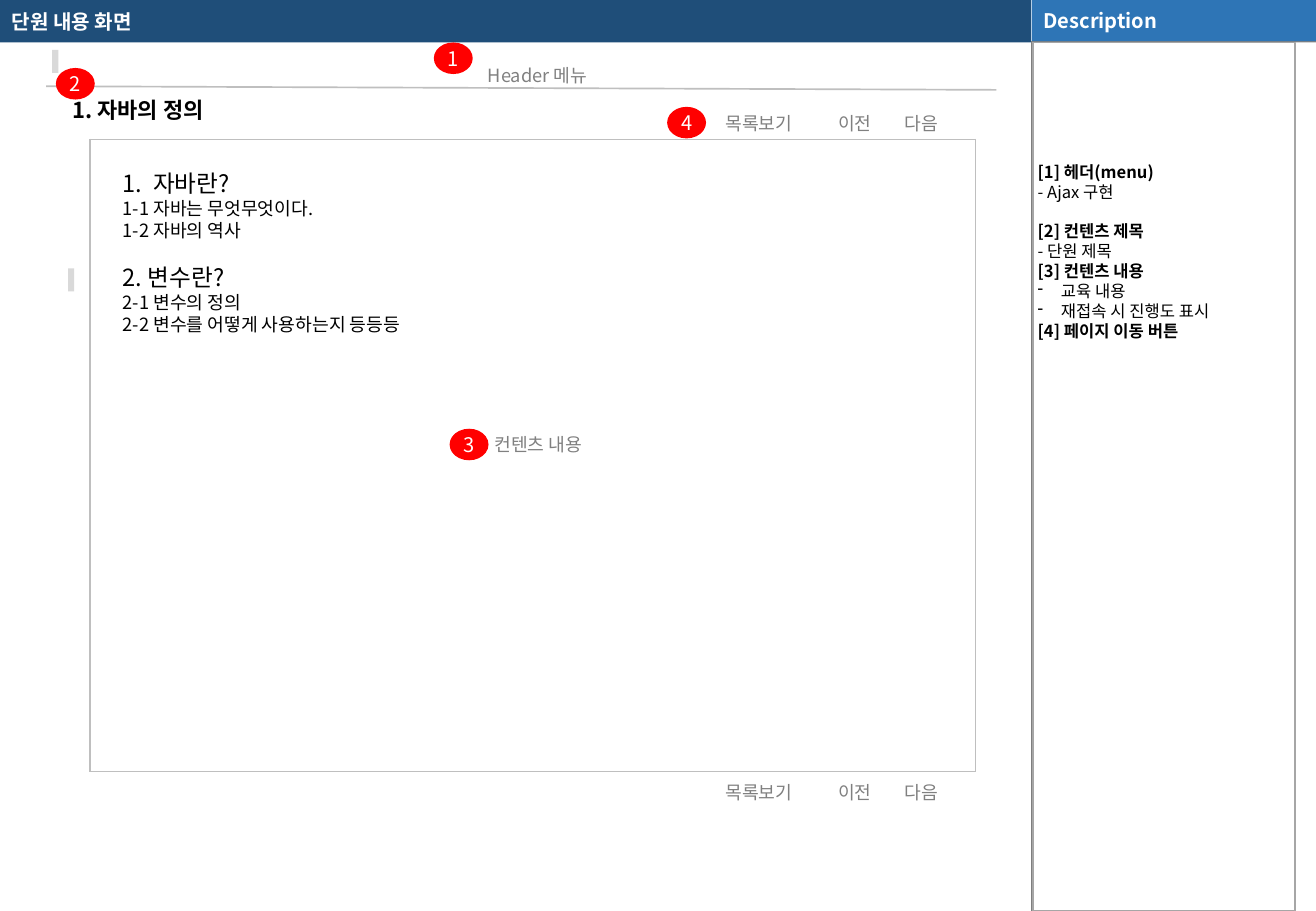
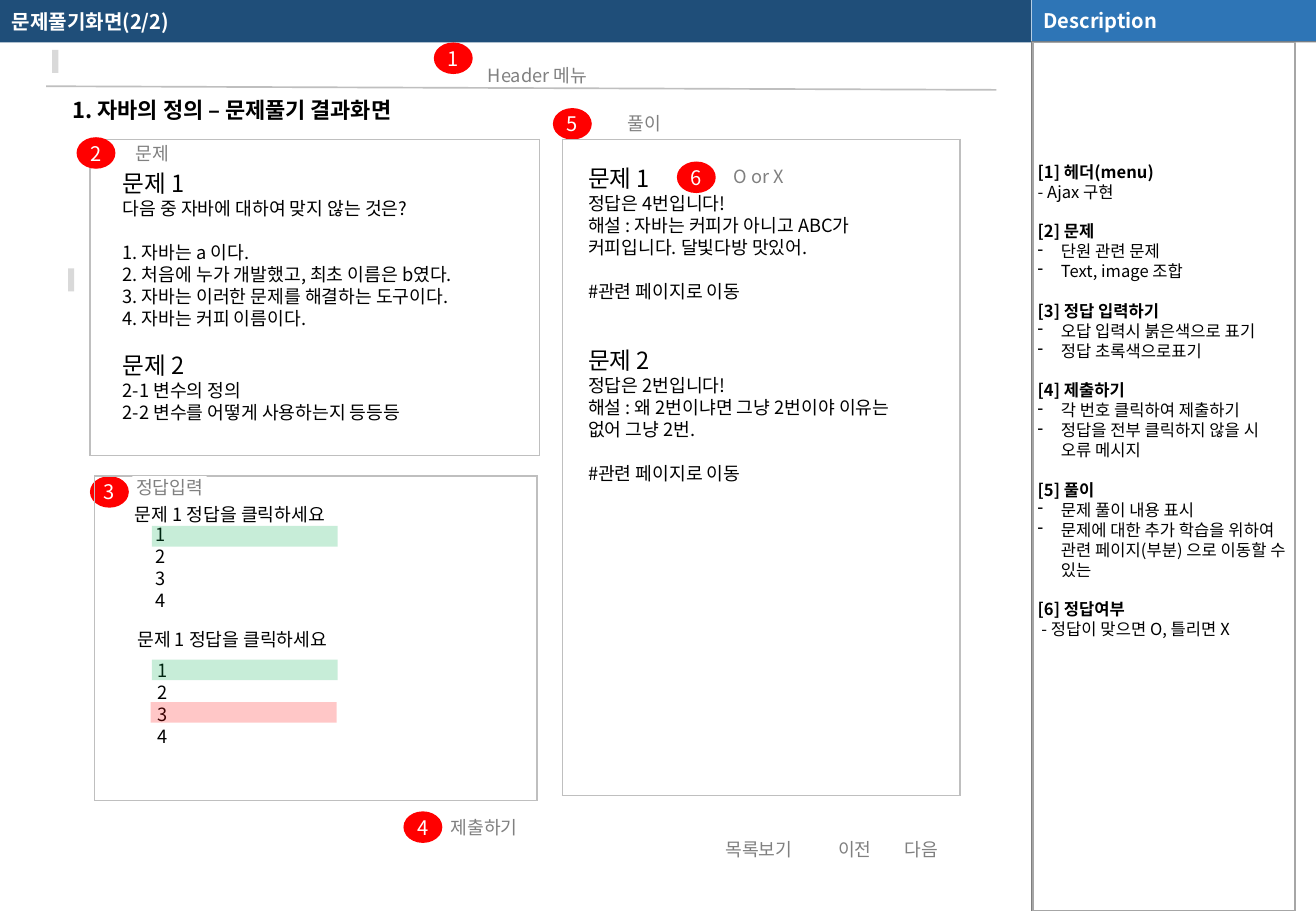
from lxml.etree import SubElement
from pptx import Presentation
from pptx.dml.color import RGBColor
from pptx.enum.shapes import MSO_CONNECTOR, MSO_SHAPE
from pptx.enum.text import MSO_ANCHOR, PP_ALIGN
from pptx.oxml.ns import qn
from pptx.util import Inches, Pt

FONT = "Noto Sans CJK KR"
LINE_HEIGHT = 1.2
NAVY = RGBColor(0x1F, 0x4E, 0x79)
BLUE = RGBColor(0x2E, 0x75, 0xB6)
GRAY = RGBColor(0x80, 0x80, 0x80)
DIVIDER = RGBColor(0x7F, 0x7F, 0x7F)
PANEL_LINE = RGBColor(0xA6, 0xA6, 0xA6)
GRID_LINE = RGBColor(0xBF, 0xBF, 0xBF)
MARKER = RGBColor(0xD9, 0xD9, 0xD9)
WHITE = RGBColor(0xFF, 0xFF, 0xFF)
BLACK = RGBColor(0, 0, 0)
RED = RGBColor(0xFF, 0, 0)
GREEN = RGBColor(0, 0xB0, 0x50)

STYLES = {
    "band": {"size": 11.9, "color": WHITE, "bold": True},
    "title": {"size": 13, "bold": True},
    "menu": {"size": 10.8, "color": GRAY, "align": PP_ALIGN.CENTER, "spacing": 1.5},
    "label": {"size": 10.8, "color": GRAY, "align": PP_ALIGN.CENTER},
    "badge": {"size": 11.9, "color": WHITE, "align": PP_ALIGN.CENTER},
    "head": {"size": 14},
    "numbered": {"size": 14, "bullet": ("buAutoNum", "type", "arabicPeriod"), "indent": 0.25},
    "text": {"size": 10.8},
    "term": {"size": 9.8, "bold": True},
    "note": {"size": 9.8},
    "item": {"size": 9.8, "bullet": ("buChar", "char", "-"), "indent": 0.19},
}

CHOICES = [("text", str(number)) for number in range(1, 5)]
ANSWER_PROMPT = [("text", "문제 1 정답을 클릭하세요")]
NAVIGATION = [("목록보기", 5.81), ("이전", 6.6), ("다음", 7.15)]
HEADER_NOTES = [("term", "[1] 헤더(menu)"), ("note", "- Ajax 구현")]

SLIDES = [
    {
        "band": "단원 내용 화면",
        "title": "1. 자바의 정의",
        "description": HEADER_NOTES + [
            ("term", "[2] 컨텐츠 제목", 1),
            ("note", "- 단원 제목"),
            ("term", "[3] 컨텐츠 내용"),
            ("item", "교육 내용"),
            ("item", "재접속 시 진행도 표시"),
            ("term", "[4] 페이지 이동 버튼"),
        ],
        "parts": [
            ("grid", (0.74, 1.15, 7.29, 5.2)),
            ("text", (1.01, 1.39, 3.7, 1.38), [
                ("numbered", "자바란?"),
                ("text", "1-1 자바는 무엇무엇이다."),
                ("text", "1-2 자바의 역사"),
                ("head", "2. 변수란?", 1),
                ("text", "2-1 변수의 정의"),
                ("text", "2-2 변수를 어떻게 사용하는지 등등등"),
            ]),
            ("label", (3.72, 3.57, 1.42, 0.18), "컨텐츠 내용"),
            ("navigation", 6.43),
            ("navigation", 0.92, None),
            ("badge", (0.46, 0.56), 2),
            ("badge", (3.7, 3.53), 3),
            ("badge", (5.49, 0.88), 4),
        ],
    },
    {
        "band": "문제풀기화면(2/2)",
        "title": "1. 자바의 정의 – 문제풀기 결과화면",
        "description": HEADER_NOTES + [
            ("term", "[2] 문제", 1),
            ("item", "단원 관련 문제"),
            ("item", "Text, image 조합"),
            ("term", "[3] 정답 입력하기", 1),
            ("item", "오답 입력시 붉은색으로 표기"),
            ("item", "정답 초록색으로표기"),
            ("term", "[4] 제출하기", 1),
            ("item", "각 번호 클릭하여 제출하기"),
            ("item", "정답을 전부 클릭하지 않을 시 오류 메시지"),
            ("term", "[5] 풀이", 1),
            ("item", "문제 풀이 내용 표시"),
            ("item", "문제에 대한 추가 학습을 위하여 관련 페이지(부분) 으로 이동할 수 있는"),
            ("term", "[6] 정답여부", 1),
            ("note", " - 정답이 맞으면 O, 틀리면 X"),
        ],
        "parts": [
            ("grid", (0.74, 1.15, 3.7, 2.6)),
            ("text", (1.01, 1.39, 2.99, 2.12), [
                ("head", "문제 1"),
                ("text", "다음 중 자바에 대하여 맞지 않는 것은?"),
                ("text", "1. 자바는 a 이다.", 1),
                ("text", "2. 처음에 누가 개발했고, 최초 이름은 b였다."),
                ("text", "3. 자바는 이러한 문제를 해결하는 도구이다."),
                ("text", "4. 자바는 커피 이름이다."),
                ("head", "문제 2", 1),
                ("text", "2-1 변수의 정의"),
                ("text", "2-2 변수를 어떻게 사용하는지 등등등"),
            ]),
            ("label", (0.95, 1.17, 0.61, 0.18), "문제"),
            ("navigation", 6.9),
            ("label", (4.87, 0.92, 0.87, 0.18), "풀이", None),
            ("badge", (0.63, 1.13), 2),
            ("badge", (4.55, 0.89), 5),
            ("badge", (0.74, 3.92), 3),
            ("grid", (4.63, 1.15, 3.27, 5.4)),
            ("grid", (0.78, 3.92, 3.64, 2.67)),
            ("text", (1.11, 4.14, 2.99, 0.18), ANSWER_PROMPT),
            ("text", (1.13, 5.17, 2.99, 0.18), ANSWER_PROMPT),
            ("label", (1.09, 3.92, 0.61, 0.18), "정답입력"),
            ("label", (3.55, 6.72, 0.87, 0.18), "제출하기"),
            ("badge", (3.32, 6.68), 4),
            ("text", (4.84, 1.35, 2.63, 2.66), [
                ("head", "문제 1"),
                ("text", "정답은 4번입니다!"),
                ("text", "해설 : 자바는 커피가 아니고 ABC가 커피입니다. 달빛다방 맛있어."),
                ("text", "#관련 페이지로 이동", 1),
                ("head", "문제 2", 2),
                ("text", "정답은 2번입니다!"),
                ("text", "해설 : 왜 2번이냐면 그냥 2번이야 이유는 없어 그냥 2번."),
                ("text", "#관련 페이지로 이동", 1),
            ]),
            ("text", (1.28, 4.31, 1, 0.73), CHOICES),
            ("text", (1.3, 5.43, 0.28, 0.73), CHOICES),
            ("label", (5.81, 1.36, 0.87, 0.18), "O or X", None),
            ("badge", (5.57, 1.33), 6),
            ("tint", (1.25, 4.33), GREEN),
            ("tint", (1.25, 5.43), GREEN),
            ("tint", (1.24, 5.78), RED),
        ],
    },
]


def add_box(slide, at, fill=None, line=None, geometry=MSO_SHAPE.RECTANGLE):
    shape = slide.shapes.add_shape(geometry, *map(Inches, at))
    shape.shadow.inherit = False
    if fill is None:
        shape.fill.background()
    else:
        shape.fill.solid()
        shape.fill.fore_color.rgb = fill
    if line is None:
        shape.line.fill.background()
    else:
        shape.line.color.rgb = line
        shape.line.width = Pt(1)
    return shape


def add_line(slide, start, end, color, width):
    connector = slide.shapes.add_connector(
        MSO_CONNECTOR.STRAIGHT, *map(Inches, start + end))
    connector.line.color.rgb = color
    connector.line.width = Pt(width)
    SubElement(connector._element.spPr, qn("a:effectLst"))


def write(shape, entries, insets=(0, 0, 0, 0), anchor=MSO_ANCHOR.TOP, wrap=True):
    frame = shape.text_frame
    frame.word_wrap = wrap
    frame.vertical_anchor = anchor
    frame.margin_left, frame.margin_top, frame.margin_right, frame.margin_bottom = map(
        Inches, insets)
    frame.text = "\n".join(text for _, text, *_ in entries)
    for paragraph, (name, _, *gap) in zip(frame.paragraphs, entries):
        style = STYLES[name]
        size = style["size"]
        paragraph.alignment = style.get("align", PP_ALIGN.LEFT)
        paragraph.line_spacing = Pt(round(size * LINE_HEIGHT * style.get("spacing", 1), 1))
        if gap:
            body_size = min(size, STYLES["text"]["size"])
            paragraph.space_before = Pt(round(gap[0] * body_size * LINE_HEIGHT, 1))
        if "bullet" in style:
            tag, key, value = style["bullet"]
            properties = paragraph._p.get_or_add_pPr()
            properties.set("marL", str(Inches(style["indent"])))
            properties.set("indent", str(-Inches(style["indent"])))
            SubElement(properties, qn("a:" + tag)).set(key, value)
        for run in paragraph.runs:
            run.font.size = Pt(size)
            run.font.bold = style.get("bold", False)
            run.font.color.rgb = style.get("color", BLACK)
            run.font.name = FONT
            SubElement(run._r.get_or_add_rPr(), qn("a:ea")).set("typeface", FONT)


def add_text(slide, at, entries, fill=WHITE):
    write(add_box(slide, at, fill), entries)


def add_label(slide, at, text, fill=WHITE):
    add_text(slide, at, [("label", text)], fill)


def add_navigation(slide, top, fill=WHITE):
    for text, left in NAVIGATION:
        add_label(slide, (left, top, 0.87, 0.18), text, fill)


def add_badge(slide, corner, number):
    badge = add_box(slide, corner + (0.32, 0.26), RED, geometry=MSO_SHAPE.OVAL)
    write(badge, [("badge", str(number))], anchor=MSO_ANCHOR.MIDDLE, wrap=False)


def add_tint(slide, corner, color):
    tint = add_box(slide, corner + (1.53, 0.17), color)
    color_node = tint._element.spPr.find(qn("a:solidFill"))[0]
    SubElement(color_node, qn("a:alpha")).set("val", "22000")


def add_grid(slide, at):
    table = slide.shapes.add_table(1, 1, *map(Inches, at)).table
    table.first_row = table.horz_banding = False
    cell = table.cell(0, 0)
    properties = cell._tc.get_or_add_tcPr()
    for side in ("lnL", "lnR", "lnT", "lnB"):
        border = SubElement(properties, qn("a:" + side), w=str(Pt(1)))
        fill = SubElement(border, qn("a:solidFill"))
        SubElement(fill, qn("a:srgbClr"), val=str(GRID_LINE))
    cell.fill.background()


def add_frame(slide, content):
    add_box(slide, (0, 0, 8.49, 0.35), NAVY)
    add_box(slide, (8.49, 0, 2.34, 0.35), GRAY)
    add_line(slide, (8.49, 0), (8.49, 0.35), WHITE, 0.25)
    add_line(slide, (8.49, 0.34), (8.49, 7.5), DIVIDER, 0.25)
    heading = add_box(slide, (8.49, 0, 2.34, 0.34), BLUE)
    band = slide.shapes.add_textbox(*map(Inches, (0, 0, 8.25, 0.35)))
    title = slide.shapes.add_textbox(*map(Inches, (0.5, 0.75, 3.14, 0.32)))
    menu = slide.shapes.add_textbox(*map(Inches, (0.46, 0.39, 7.93, 0.34)))
    padding = (0.1, 0.05, 0.1, 0.05)
    write(heading, [("band", "Description")], padding, MSO_ANCHOR.MIDDLE)
    write(band, [("band", content["band"])], padding, MSO_ANCHOR.MIDDLE)
    write(title, [("title", content["title"])], padding)
    write(menu, [("menu", "Header 메뉴")], padding)
    add_line(slide, (0.38, 0.71), (8.2, 0.74), GRID_LINE, 1)
    for left, top in ((0.43, 0.41), (0.56, 2.21)):
        add_box(slide, (left, top, 0.05, 0.19), MARKER)
    panel = add_box(slide, (8.5, 0.35, 2.16, 7.15), line=PANEL_LINE)
    write(panel, content["description"], (0.04, 0.98, 0.04, 0))


BUILDERS = {
    "grid": add_grid,
    "text": add_text,
    "label": add_label,
    "navigation": add_navigation,
    "badge": add_badge,
    "tint": add_tint,
}


def main():
    presentation = Presentation()
    presentation.slide_width = Inches(10.83)
    presentation.slide_height = Inches(7.5)
    for content in SLIDES:
        slide = presentation.slides.add_slide(presentation.slide_layouts[6])
        add_frame(slide, content)
        for kind, *details in content["parts"]:
            BUILDERS[kind](slide, *details)
        add_badge(slide, (3.57, 0.35), 1)
    presentation.save("out.pptx")


if __name__ == "__main__":
    main()
